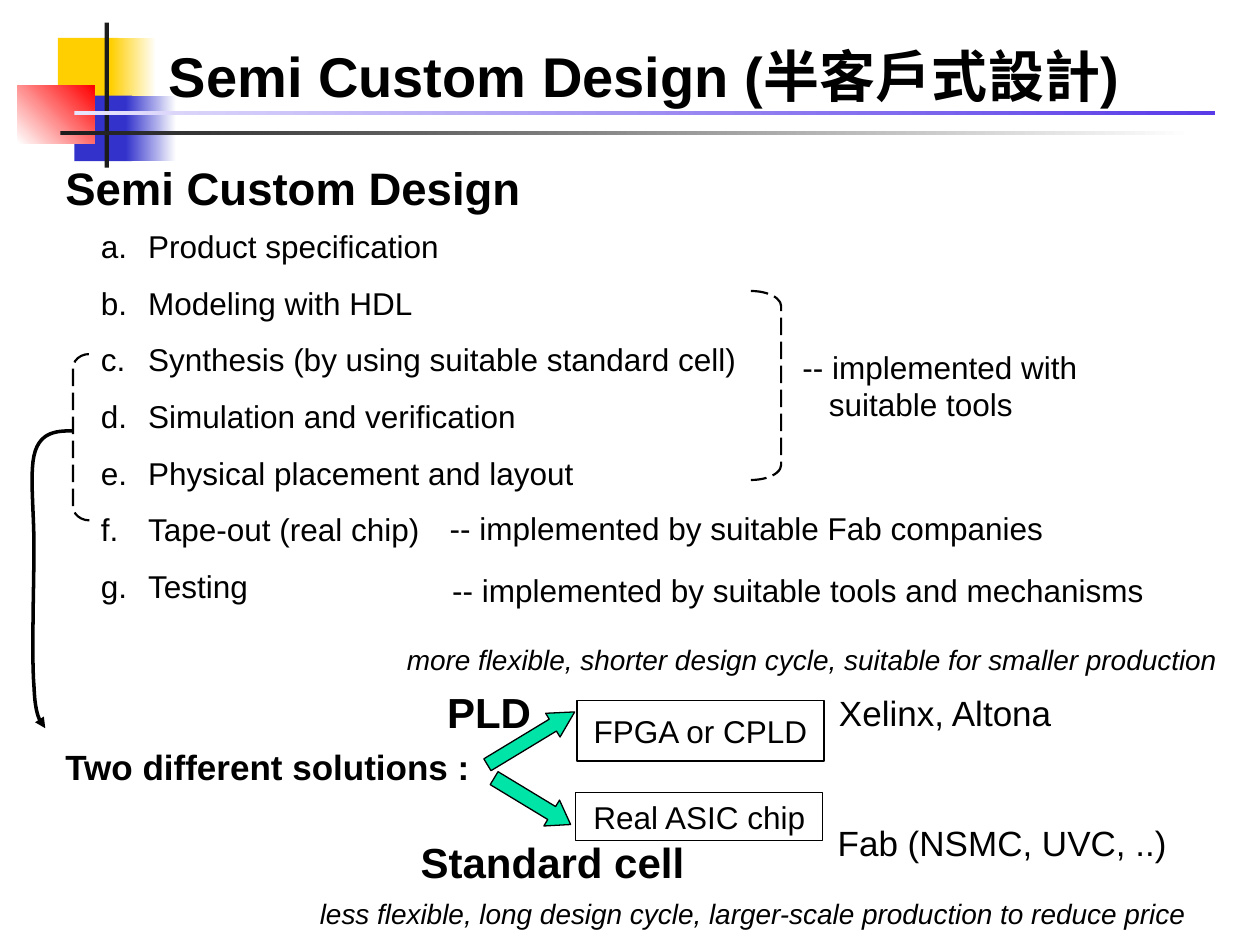
"""Build the semi custom design slide on a grid of 100 columns by 75 rows."""
from dataclasses import dataclass
from typing import Optional

from lxml.etree import SubElement
from pptx import Presentation
from pptx.dml.color import RGBColor
from pptx.enum.dml import MSO_LINE
from pptx.enum.shapes import MSO_SHAPE
from pptx.enum.text import MSO_ANCHOR, MSO_AUTO_SIZE, PP_ALIGN
from pptx.oxml.ns import qn
from pptx.util import Inches, Pt

COLUMNS, ROWS = 100, 75
WIDTH, HEIGHT = Inches(10), Inches(7.5)
BLACK = RGBColor(0x00, 0x00, 0x00)
WHITE = RGBColor(0xFF, 0xFF, 0xFF)
CHARCOAL = RGBColor(0x1C, 0x1C, 0x1C)
YELLOW = RGBColor(0xFF, 0xCF, 0x01)
BLUE = RGBColor(0x33, 0x33, 0xCC)
RED = RGBColor(0xFF, 0x00, 0x00)
LAVENDER = RGBColor(0xE7, 0xE3, 0xFC)
VIOLET = RGBColor(0x59, 0x3C, 0xE8)
GREEN = RGBColor(0x00, 0xE4, 0xA8)


@dataclass(frozen=True)
class Area:
    column: float
    row: float
    columns: float
    rows: float


@dataclass(frozen=True)
class Block:
    area: Area
    start: RGBColor
    end: Optional[RGBColor] = None
    angle: float = 0


@dataclass(frozen=True)
class Label:
    area: Area
    lines: tuple[str, ...]
    size: float = 18
    bold: bool = False
    italic: bool = False


@dataclass(frozen=True)
class Arrow:
    area: Area
    rotation: float
    head: float


@dataclass(frozen=True)
class Bracket:
    preset: MSO_SHAPE
    area: Area
    curve: float


BLOCKS = (
    Block(Area(4.6, 3, 4.8, 5.2), YELLOW),
    Block(Area(8.8, 3, 3.6, 5.2), YELLOW, WHITE),
    Block(Area(5.9, 7.6, 4.6, 5.2), BLUE),
    Block(Area(10, 7.6, 4, 5.2), BLUE, WHITE),
    Block(Area(1.4, 6.8, 6.1, 4.6), WHITE, RED, 45),
    Block(Area(8.3, 1.8, 0.35, 11.5), CHARCOAL),
    Block(Area(4.8, 10.4, 90, 0.35), CHARCOAL, WHITE),
    Block(Area(5.9, 8.8, 90.5, 0.35), LAVENDER, VIOLET),
)
TITLE = Label(Area(12.4, 2.8, 86, 6.4), ("Semi Custom Design (半客戶式設計)",), 32, bold=True)
STEPS = Label(Area(7, 16, 55, 32.5), (
    "Product specification",
    "Modeling with HDL",
    "Synthesis (by using suitable standard cell)",
    "Simulation and verification",
    "Physical placement and layout",
    "Tape-out (real chip)",
    "Testing",
))
LABELS = (
    Label(Area(4.2, 12.2, 39.2, 5.4), ("Semi Custom Design",), 26, bold=True),
    Label(Area(62.7, 27.1, 24.5, 7), ("-- implemented with", "suitable tools")),
    Label(Area(34.9, 44.8, 56.9, 4), ("-- implemented by suitable tools and mechanisms",)),
    Label(Area(34.7, 39.9, 49.1, 4), ("-- implemented by suitable Fab companies",)),
    Label(Area(24.4, 70.7, 71.3, 3.7),
          ("less flexible, long design cycle, larger-scale production to reduce price",),
          16, italic=True),
    Label(Area(31.3, 50.5, 67.5, 3.7),
          ("more flexible, shorter design cycle, suitable for smaller production",),
          16, italic=True),
    Label(Area(32.4, 65.9, 22.9, 5), ("Standard cell",), 24, bold=True),
    Label(Area(34.5, 54, 8.6, 5), ("PLD",), 24, bold=True),
    Label(Area(65.5, 64.7, 28.3, 4.4), ("Fab (NSMC, UVC, ..)",), 20),
    Label(Area(4.2, 58.7, 35.1, 4.4), ("Two different solutions :",), 20, bold=True),
    Label(Area(65.6, 54.4, 18.8, 4.4), ("Xelinx, Altona",), 20),
)
CHIPS = (
    Label(Area(45.8, 55.6, 19.6, 4.8), ("FPGA or CPLD",)),
    Label(Area(45.7, 62.9, 19.6, 3.8), ("Real ASIC chip",)),
)
ARROWS = (
    Arrow(Area(38.7, 62.4, 7.1, 2.4), 31.2, 0.73),
    Arrow(Area(38.1, 57.5, 8.1, 2.2), 328.8, 0.92),
)
BRACKETS = (
    Bracket(MSO_SHAPE.RIGHT_BRACKET, Area(59.6, 23.1, 2.4, 15), 0.5),
    Bracket(MSO_SHAPE.LEFT_BRACKET, Area(5.8, 28.1, 1.3, 13.2), 0.85),
)
FLOW = (
    ((5.7, 34.2), (4.5, 34.2), (3.3, 34.3), (2.8, 35.8)),
    ((2.8, 35.8), (2.3, 37.3), (2.7, 40.3), (2.7, 43.4)),
    ((2.7, 43.4), (2.7, 46.5), (2.5, 52.1), (2.7, 54.5)),
    ((2.7, 54.5), (2.8, 56.9), (3.2, 57.3), (3.6, 57.8)),
)


def across(columns: float) -> int:
    """Return the length of some columns."""
    return round(columns * WIDTH / COLUMNS)


def down(rows: float) -> int:
    """Return the length of some rows."""
    return round(rows * HEIGHT / ROWS)


def bounds(area: Area) -> tuple[int, int, int, int]:
    """Return left, top, width and height of an area."""
    return across(area.column), down(area.row), across(area.columns), down(area.rows)


def add_preset(page, preset: MSO_SHAPE, area: Area):
    """Add a preset shape without a shadow."""
    shape = page.shapes.add_shape(preset, *bounds(area))
    shape.shadow.inherit = False
    return shape


def paint(shape, color: RGBColor, line_width: float = 0) -> None:
    """Fill a shape and outline it in black if a line width is given."""
    shape.fill.solid()
    shape.fill.fore_color.rgb = color
    if line_width:
        shape.line.color.rgb = BLACK
        shape.line.width = Pt(line_width)
    else:
        shape.line.fill.background()


def write(box, label: Label, anchor=MSO_ANCHOR.TOP, align=PP_ALIGN.LEFT) -> list:
    """Write the lines of a label and return their paragraphs."""
    frame = box.text_frame
    frame.text = "\n".join(label.lines)
    settings = {"word_wrap": False, "auto_size": MSO_AUTO_SIZE.NONE, "vertical_anchor": anchor}
    for name, value in settings.items():
        setattr(frame, name, value)
    formats = {"name": "Arial", "size": Pt(label.size), "bold": label.bold, "italic": label.italic}
    for paragraph in frame.paragraphs:
        paragraph.alignment = align
        for span in paragraph.runs:
            span.font.color.rgb = BLACK
            for name, value in formats.items():
                setattr(span.font, name, value)
    return list(frame.paragraphs)


def indent(paragraph, left: float, first: float) -> None:
    """Set the left margin and first-line indent in columns."""
    properties = paragraph._p.get_or_add_pPr()
    properties.set("marL", str(across(left)))
    properties.set("indent", str(across(first)))


def fill_placeholder(page, box, label: Label) -> list:
    """Move a placeholder to its area, bring it forward and write in it."""
    for name, value in zip(("left", "top", "width", "height"), bounds(label.area)):
        setattr(box, name, value)
    page.shapes.element.append(box.element)
    return write(box, label)


def draw_block(page, block: Block) -> None:
    """Draw a plain or gradient block."""
    shape = add_preset(page, MSO_SHAPE.RECTANGLE, block.area)
    paint(shape, block.start)
    if block.end is not None:
        shape.fill.gradient()
        shape.fill.gradient_angle = block.angle
        for stop, color, position in zip(shape.fill.gradient_stops, (block.start, block.end), (0, 1)):
            stop.color.rgb = color
            stop.position = position


def draw_label(page, label: Label) -> None:
    """Draw a text box whose later lines are indented."""
    for paragraph in write(page.shapes.add_textbox(*bounds(label.area)), label)[1:]:
        indent(paragraph, 2.1, 0)


def draw_chip(page, label: Label) -> None:
    """Draw an outlined box with centred text."""
    shape = add_preset(page, MSO_SHAPE.RECTANGLE, label.area)
    paint(shape, WHITE, 0.75)
    write(shape, label, MSO_ANCHOR.MIDDLE, PP_ALIGN.CENTER)


def draw_arrow(page, arrow: Arrow) -> None:
    """Draw a rotated block arrow."""
    shape = add_preset(page, MSO_SHAPE.RIGHT_ARROW, arrow.area)
    paint(shape, GREEN, 0.75)
    shape.rotation = arrow.rotation
    shape.adjustments[1] = arrow.head


def draw_bracket(page, bracket: Bracket) -> None:
    """Draw a dashed bracket."""
    shape = add_preset(page, bracket.preset, bracket.area)
    paint(shape, WHITE, 1.25)
    shape.fill.background()
    shape.line.dash_style = MSO_LINE.LONG_DASH
    shape.adjustments[0] = bracket.curve


def curve_point(curve: tuple, share: float) -> tuple[int, int]:
    """Return the point at a share of a cubic curve."""
    rest = 1 - share
    weights = (rest ** 3, 3 * rest ** 2 * share, 3 * rest * share ** 2, share ** 3)
    column, row = (sum(w * v for w, v in zip(weights, values)) for values in zip(*curve))
    return across(column), down(row)


def draw_flow(page, curves: tuple, steps: int = 12) -> None:
    """Draw an open curved line ending in an arrowhead."""
    points = [curve_point(curve, step / steps) for curve in curves for step in range(1, steps + 1)]
    builder = page.shapes.build_freeform(*curve_point(curves[0], 0))
    builder.add_line_segments(points, close=False)
    shape = builder.convert_to_shape()
    shape.shadow.inherit = False
    paint(shape, WHITE, 2)
    shape.fill.background()
    SubElement(shape.line._get_or_add_ln(), qn("a:tailEnd"), type="triangle")


def main() -> None:
    """Build and save the deck."""
    deck = Presentation()
    deck.slide_width, deck.slide_height = WIDTH, HEIGHT
    page = deck.slides.add_slide(deck.slide_layouts[1])
    for block in BLOCKS:
        draw_block(page, block)
    fill_placeholder(page, page.shapes.title, TITLE)
    for paragraph in fill_placeholder(page, page.placeholders[1], STEPS):
        paragraph.line_spacing = 1.5
        paragraph.space_before = Pt(0)
        indent(paragraph, 3.75, -3.75)
        SubElement(paragraph._p.get_or_add_pPr(), qn("a:buAutoNum"), type="alphaLcPeriod")
    groups = ((draw_bracket, BRACKETS), (draw_chip, CHIPS), (draw_label, LABELS), (draw_arrow, ARROWS))
    for draw, items in groups:
        for item in items:
            draw(page, item)
    draw_flow(page, FLOW)
    deck.save("out.pptx")


if __name__ == "__main__":
    main()
